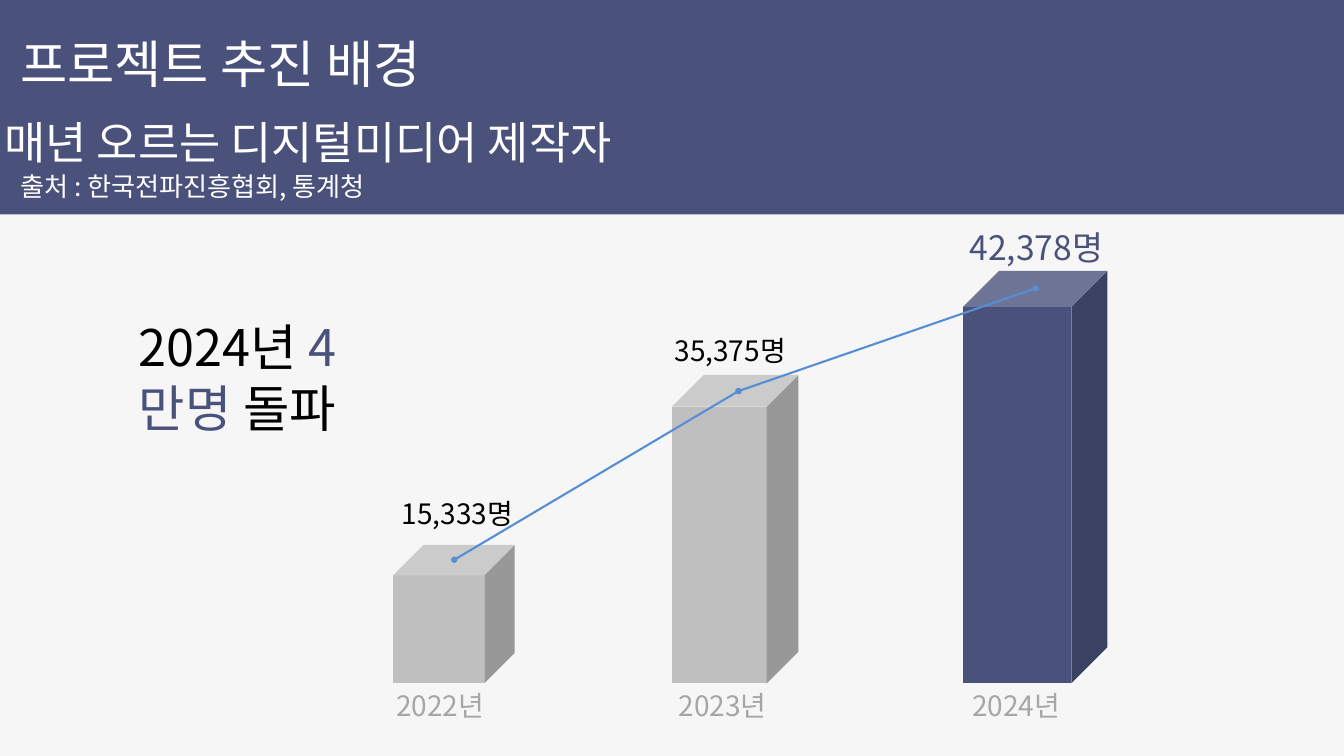
from lxml import etree
from pptx import Presentation, util as u
from pptx.dml.color import RGBColor
from pptx.enum import shapes, text
from pptx.oxml import ns

FONT = "Noto Sans CJK KR"
NAVY, GREY, LABEL, BLUE = "4A527B", "BFBFBF", "A6A6A6", "558ED5"
WHITE, BLACK, PAPER = "FFFFFF", "000000", "F6F6F6"
BASE = 10.17  # y of the foot of every bar


def color(value):
    return RGBColor.from_string(value)


def sub(parent, tag, **attrs):
    return etree.SubElement(parent, ns.qn(tag), **attrs)


class Deck:
    def __init__(self, width, height):
        self.prs = Presentation()
        self.prs.slide_width, self.prs.slide_height = u.Inches(width), u.Inches(height)
        self.s = self.prs.slides.add_slide(self.prs.slide_layouts[5])
        fill = self.s.background.fill
        fill.solid()
        fill.fore_color.rgb = color(PAPER)

    def shape(self, kind, x, y, w, h, fill):
        sp = self.s.shapes.add_shape(kind, *map(u.Inches, (x, y, w, h)))
        sp.shadow.inherit = False
        sp.fill.solid()
        sp.fill.fore_color.rgb = color(fill)
        sp.line.fill.background()
        return sp

    def add_runs(self, sp, runs, size, align=text.PP_ALIGN.LEFT, inset=True):
        """Fill sp with one paragraph made of (text, colour) runs."""
        tf = sp.text_frame
        tf.word_wrap = True
        tf.auto_size = text.MSO_AUTO_SIZE.NONE
        tf.vertical_anchor = text.MSO_ANCHOR.TOP
        if not inset:
            tf.margin_left = tf.margin_right = tf.margin_top = tf.margin_bottom = 0
        p = tf.paragraphs[0]
        p.alignment = align
        for words, tint in runs:
            r = p.add_run()
            r.text = words
            r.font.size = u.Pt(size)
            r.font.name = FONT
            r.font.color.rgb = color(tint)
            sub(r.font._element, "a:ea", typeface=FONT)

    def title(self, x, y, w, h, words, size):
        sp = self.s.shapes.title
        sp.left, sp.top, sp.width, sp.height = map(u.Inches, (x, y, w, h))
        self.add_runs(sp, [(words, WHITE)], size, inset=False)
        self.s.shapes._spTree.append(sp._element)  # in front of the band

    def text(self, x, y, w, h, runs, size, **style):
        sp = self.s.shapes.add_textbox(*map(u.Inches, (x, y, w, h)))
        self.add_runs(sp, runs, size, **style)

    def trend(self, start, end):
        """Line with a dot at each end."""
        line = self.s.shapes.add_connector(
            shapes.MSO_CONNECTOR.STRAIGHT, *map(u.Inches, start + end))
        line.line.color.rgb = color(BLUE)
        line.line.width = u.Pt(2.25)
        ln = line.line._get_or_add_ln()
        sub(ln, "a:headEnd", type="oval")
        sub(ln, "a:tailEnd", type="oval")
        sub(line._element.spPr, "a:effectLst")


# year, year x, bar (x, y, width), fill, value, value box, size, colour, trend point
BARS = [
    ("2022년", 5.8, (5.85, 8.11, 1.81), GREY,
     "15,333명", (5.88, 7.34, 2.07, 0.61), 30, BLACK, (6.76, 8.33)),
    ("2023년", 10, (10, 5.58, 1.88), GREY,
     "35,375명", (9.94, 4.91, 2, 0.61), 30, BLACK, (10.99, 5.82)),
    ("2024년", 14.37, (14.33, 4.03, 2.15), NAVY,
     "42,378명", (14.33, 3.32, 2.33, 0.71), 36, NAVY, (15.41, 4.29)),
]


def main():
    deck = Deck(20, 11.25)
    deck.shape(shapes.MSO_SHAPE.RECTANGLE, 0, 0, 20, 3.19, NAVY)
    deck.title(0.3, 0.48, 10.41, 1.07, "프로젝트 추진 배경", 55)
    deck.text(-0.08, 1.71, 9.33, 1.03, [("매년 오르는 디지털미디어 제작자", WHITE)], 48,
              align=text.PP_ALIGN.CENTER, inset=False)
    deck.text(0.3, 2.53, 11.71, 1.03, [("출처 : 한국전파진흥협회, 통계청", WHITE)], 28,
              inset=False)

    for year, year_x, (x, y, w), fill, value, box, size, tint, _ in BARS:
        deck.shape(shapes.MSO_SHAPE.CUBE, x, y, w, BASE - y, fill)
        deck.text(year_x, 10.19, 1.67, 0.61, [(year, LABEL)], 30)
        deck.text(*box, [(value, tint)], size)

    points = [bar[-1] for bar in BARS]
    for start, end in zip(points, points[1:]):
        deck.trend(start, end)

    deck.text(1.97, 4.66, 3.5, 1.92,
              [("2024년 ", BLACK), ("4만명 ", NAVY), ("돌파", BLACK)], 54)
    deck.prs.save("out.pptx")


if __name__ == "__main__":
    main()
